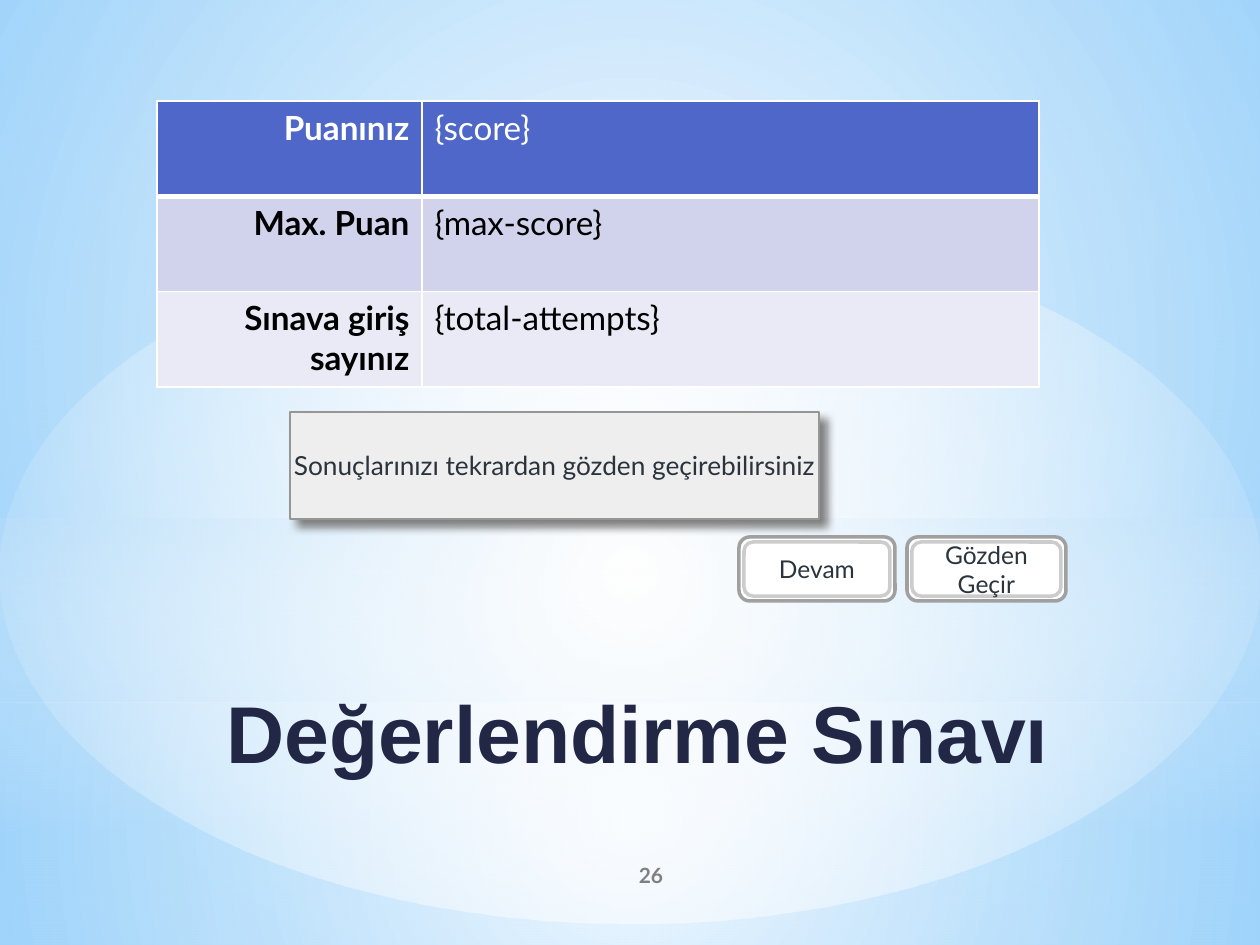
"""Builds the exam result slide with a score table and review buttons."""
from lxml.etree import SubElement
from pptx import Presentation
from pptx.dml.color import RGBColor
from pptx.enum.shapes import MSO_SHAPE
from pptx.enum.text import MSO_ANCHOR, PP_ALIGN
from pptx.oxml import parse_xml
from pptx.oxml.ns import nsdecls, qn
from pptx.util import Emu, Pt

PIXEL = 914400 // 126
WHITE = RGBColor(0xFF, 0xFF, 0xFF)
BLACK = RGBColor(0, 0, 0)
SKY = RGBColor(0x9C, 0xD4, 0xFF)
DEEP_SKY = RGBColor(0x5B, 0xB9, 0xFF)
PALE_BLUE = RGBColor(0xB4, 0xDC, 0xFA)
HEADER_BLUE = RGBColor(0x4E, 0x67, 0xC8)
BAND_DARK = RGBColor(0xD0, 0xD3, 0xEB)
BAND_LIGHT = RGBColor(0xE9, 0xEA, 0xF5)
PANEL = RGBColor(0xEE, 0xEE, 0xEE)
PANEL_EDGE = RGBColor(0x96, 0x96, 0x96)
OUTER_EDGE = RGBColor(0xA0, 0xA0, 0xA0)
INNER_EDGE = RGBColor(0xCC, 0xCC, 0xCC)
GRAY = RGBColor(0x80, 0x80, 0x80)
INK = RGBColor(0x2B, 0x33, 0x3C)
NAVY = RGBColor(0x21, 0x27, 0x45)

CENTER = '<a:path path="circle"><a:fillToRect l="50000" t="50000" r="50000" b="50000"/></a:path>'
HIGH_CENTER = CENTER.replace('t="50000"', 't="25000"').replace('b="50000"', 'b="75000"')
DOWNWARD = '<a:lin ang="5400000" scaled="0"/>'

BACKDROP = [
    (MSO_SHAPE.RECTANGLE, (0, 703, 1260, 242), [(WHITE, 91), (PALE_BLUE, 79)], CENTER),
    (MSO_SHAPE.RECTANGLE, (0, 0, 1260, 703), [(WHITE, 89), (PALE_BLUE, 79)], CENTER),
    (MSO_SHAPE.RECTANGLE, (0, 519, 1260, 315), [(PALE_BLUE, 60), (WHITE, 0)], DOWNWARD),
    (MSO_SHAPE.OVAL, (0, 221, 1260, 703), [(WHITE, 100), (WHITE, 0)], CENTER),
]
SCORES = [
    ("Puanınız", "{score}", HEADER_BLUE, WHITE),
    ("Max. Puan", "{max-score}", BAND_DARK, BLACK),
    ("Sınava giriş sayınız", "{total-attempts}", BAND_LIGHT, BLACK),
]
TABLE_BOX = (157, 101, 882, 286)
COLUMN_WIDTHS = (265, 617)
MESSAGE = "Sonuçlarınızı tekrardan gözden geçirebilirsiniz"
BUTTONS = [("Gözden Geçir", 907, 159), ("Devam", 739, 156)]
BUTTON_TOP, BUTTON_HEIGHT, BUTTON_INSET = 537, 64, 5


def scaled(*pixels):
    return [Emu(pixel * PIXEL) for pixel in pixels]


def apply_gradient(element, stops, direction):
    solid = element.xpath(".//a:solidFill")[0]
    marks = "".join(
        f'<a:gs pos="{position}"><a:srgbClr val="{color}">'
        f'<a:alpha val="{opacity * 1000}"/></a:srgbClr></a:gs>'
        for position, (color, opacity) in zip((0, 100000), stops))
    gradient = f'<a:gradFill {nsdecls("a")} rotWithShape="1"><a:gsLst>{marks}</a:gsLst>{direction}</a:gradFill>'
    solid.getparent().replace(solid, parse_xml(gradient))


def add_panel(parent, kind, box, fill, edge=None, weight=1):
    shape = parent.add_shape(kind, *scaled(*box))
    shape.shadow.inherit = False
    shape.fill.solid()
    shape.fill.fore_color.rgb = fill
    if edge is None:
        shape.line.fill.background()
    else:
        shape.line.color.rgb = edge
        shape.line.width = Pt(weight)
    return shape


def write(frame, text, size, color, bold=False, align=PP_ALIGN.CENTER, font="Lato"):
    para = frame.paragraphs[0]
    para.text = text
    para.alignment = align
    para.font.name = font
    para.font.size = Pt(size)
    para.font.bold = bold
    para.font.color.rgb = color


def write_inside(shape, text, size, color, anchor=MSO_ANCHOR.MIDDLE, **style):
    frame = shape.text_frame
    frame.word_wrap = True
    frame.vertical_anchor = anchor
    frame.margin_left = frame.margin_right = frame.margin_top = frame.margin_bottom = 0
    write(frame, text, size, color, **style)


def add_borders(cell, weights):
    properties = cell._tc.get_or_add_tcPr()
    for side, weight in weights.items():
        line = SubElement(properties, qn(f"a:ln{side}"), w=str(Pt(weight)))
        SubElement(SubElement(line, qn("a:solidFill")), qn("a:srgbClr"), val=str(WHITE))


def add_scores(slide):
    table = slide.shapes.add_table(len(SCORES), 2, *scaled(*TABLE_BOX)).table
    table.first_row = table.horz_banding = False
    for column, width in zip(table.columns, scaled(*COLUMN_WIDTHS)):
        column.width = width
    for index, (label, value, fill, color) in enumerate(SCORES):
        weights = dict.fromkeys("LRTB", 0.96)
        if index == 0:
            weights["B"] = 3
        elif index == 1:
            weights["T"] = 3
        for column, text in enumerate((label, value)):
            cell = table.cell(index, column)
            add_borders(cell, weights)
            cell.fill.solid()
            cell.fill.fore_color.rgb = fill
            align = PP_ALIGN.LEFT if column else PP_ALIGN.RIGHT
            write(cell.text_frame, text, 19, color, column == 0, align)


def add_message(slide):
    panel = add_panel(slide.shapes, MSO_SHAPE.RECTANGLE, (290, 412, 529, 107), PANEL, PANEL_EDGE)
    effects = panel._element.spPr.find(qn("a:effectLst"))
    shadow = SubElement(effects, qn("a:outerShdw"), blurRad=str(Pt(5)), dist=str(Pt(5.6)),
                        dir="2700000", algn="tl", rotWithShape="0")
    SubElement(shadow, qn("a:srgbClr"), val=str(GRAY))
    write_inside(panel, MESSAGE, 15, INK)


def add_button(slide, label, left, width):
    group = slide.shapes.add_group_shape()
    for inset, edge in ((0, OUTER_EDGE), (BUTTON_INSET, INNER_EDGE)):
        box = (left + inset, BUTTON_TOP + inset, width - 2 * inset, BUTTON_HEIGHT - 2 * inset)
        face = add_panel(group.shapes, MSO_SHAPE.ROUNDED_RECTANGLE, box, WHITE, edge, 2)
    write_inside(face, label, 14, INK)


def main():
    deck = Presentation()
    deck.slide_width, deck.slide_height = scaled(1260, 945)
    slide = deck.slides.add_slide(deck.slide_layouts[6])
    slide.background.fill.solid()
    slide.background.fill.fore_color.rgb = SKY
    apply_gradient(slide.element.xpath(".//p:bg")[0], [(SKY, 100), (DEEP_SKY, 100)], HIGH_CENTER)
    for kind, box, stops, direction in BACKDROP:
        apply_gradient(add_panel(slide.shapes, kind, box, WHITE)._element, stops, direction)

    number = slide.shapes.add_textbox(*scaled(525, 850, 252, 50))
    write_inside(number, "26", 12, GRAY, bold=True)
    add_scores(slide)
    add_message(slide)
    for button in BUTTONS:
        add_button(slide, *button)
    title = slide.shapes.add_textbox(*scaled(189, 683, 897, 158))
    write_inside(title, "Değerlendirme Sınavı", 46, NAVY, MSO_ANCHOR.TOP, bold=True, font="Arial")
    deck.save("out.pptx")


main()
